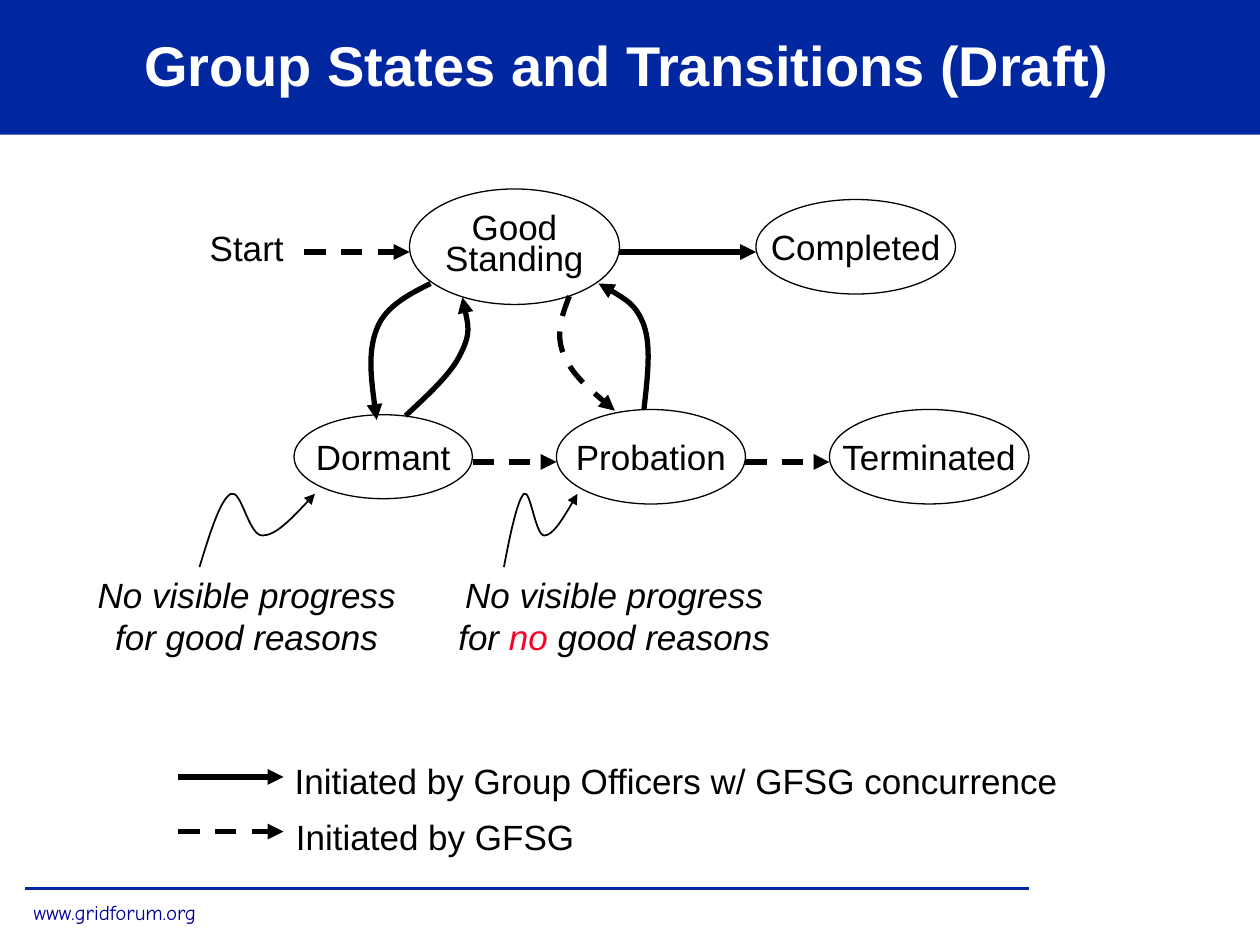
from lxml import etree
from pptx import Presentation
from pptx.dml.color import RGBColor
from pptx.enum.dml import MSO_LINE
from pptx.enum.shapes import MSO_CONNECTOR, MSO_SHAPE
from pptx.enum.text import MSO_ANCHOR, PP_ALIGN
from pptx.oxml.ns import qn
from pptx.util import Pt

STRAIGHT = MSO_CONNECTOR.STRAIGHT
OVAL, RECTANGLE = MSO_SHAPE.OVAL, MSO_SHAPE.RECTANGLE
LEFT, CENTER = PP_ALIGN.LEFT, PP_ALIGN.CENTER
TOP, MIDDLE = MSO_ANCHOR.TOP, MSO_ANCHOR.MIDDLE
DASH = MSO_LINE.DASH
BLUE, BLACK, WHITE, RED, NAVY = "00279F", "000000", "FFFFFF", "FC0128", "000099"


def write(shape, paragraphs, size=20, color=BLACK, font="Arial", align=CENTER,
          anchor=MIDDLE, wrap=False, bold=False, italic=False, spacing=1.0):
    """Fill a shape with paragraphs, each a list of (text, colour or None) runs."""
    frame = shape.text_frame
    frame.word_wrap = wrap
    frame.vertical_anchor = anchor
    for index, runs in enumerate(paragraphs):
        paragraph = frame.add_paragraph() if index else frame.paragraphs[0]
        paragraph.alignment = align
        paragraph.line_spacing = spacing
        for text, run_color in runs:
            run = paragraph.add_run()
            run.text = text
            run.font.name = font
            run.font.size = Pt(size)
            run.font.bold = bold
            run.font.italic = italic
            run.font.color.rgb = RGBColor.from_string(run_color or color)


def stroke(shape, width, color=BLACK, dashed=False, arrow=None):
    """Style a line without shadow; arrow is headEnd (start), tailEnd (finish) or None."""
    shape.line.color.rgb = RGBColor.from_string(color)
    shape.line.width = Pt(width)
    if dashed:
        shape.line.dash_style = DASH
    properties = shape.element.spPr
    if arrow:
        etree.SubElement(properties.find(qn("a:ln")), qn(f"a:{arrow}"), type="triangle")
    etree.SubElement(properties, qn("a:effectLst"))


prs = Presentation()
prs.slide_width, prs.slide_height = Pt(720), Pt(540)
shapes = prs.slides.add_slide(prs.slide_layouts[6]).shapes

# Banner, title and footer
banner = shapes.add_shape(RECTANGLE, 0, 0, Pt(720), Pt(77))
banner.shadow.inherit = False
banner.fill.solid()
banner.fill.fore_color.rgb = RGBColor.from_string(BLUE)
banner.line.fill.background()
title = shapes.add_textbox(0, 0, Pt(716.4), Pt(73.4))
write(title, [[("Group States and Transitions (Draft)", None)]], size=32, color=WHITE,
      wrap=True, bold=True)

footer_rule = shapes.add_connector(STRAIGHT, Pt(14.4), Pt(507.6), Pt(588), Pt(507.6))
stroke(footer_rule, 2, BLUE)
site = shapes.add_textbox(Pt(12.2), Pt(510.5), Pt(107.3), Pt(21.6))
write(site, [[("www.gridforum.org", None)]], size=12, color=NAVY, font="Comic Neue",
      align=LEFT, anchor=TOP)

# States
start = shapes.add_textbox(Pt(108), Pt(117.4), Pt(66), Pt(48))
write(start, [[("Start", None)]])
states = [
    (["Good", "Standing"], 234, 108, 120, 66, 0.75),
    (["Dormant"], 168, 237, 102, 48, 1.0),
    (["Probation"], 318, 234, 108, 54, 1.0),
    (["Completed"], 432, 114, 114, 54, 1.0),
    (["Terminated"], 474, 234, 114, 54, 1.0),
]
for lines, left, top, width, height, spacing in states:
    state = shapes.add_shape(OVAL, Pt(left), Pt(top), Pt(width), Pt(height))
    state.fill.background()
    stroke(state, 0.75)
    write(state, [[(line, None)] for line in lines], spacing=spacing)

# Straight transitions and legend samples: start x, end x, y, dashed
straight_arrows = [
    (174, 234, 144, True),
    (354, 432, 144, False),
    (270, 318, 264, True),
    (426, 474, 264, True),
    (102, 162, 475.2, True),
    (102, 162, 444, False),
]
for x1, x2, y, dashed in straight_arrows:
    transition = shapes.add_connector(STRAIGHT, Pt(x1), Pt(y), Pt(x2), Pt(y))
    stroke(transition, 3, dashed=dashed, arrow="tailEnd")

# Curved transitions and note pointers: start point, then three points per Bezier segment
curved_arrows = [
    ([(342, 162), (352.8, 168), (363.6, 174), (368, 186), (372.2, 198), (370, 216),
      (368, 234)], 3, False, "headEnd"),
    ([(246, 162), (233.3, 168.5), (220.3, 175), (215.3, 188), (210.2, 201), (212.4, 220.5),
      (215.3, 240)], 3, False, "tailEnd"),
    ([(325.4, 169.2), (321.1, 180), (317.5, 190.8), (321.8, 201.6), (326.2, 213.1),
      (338.4, 223.9), (351.4, 234.7)], 3, True, "tailEnd"),
    ([(264.2, 169.9), (266.4, 180), (269.3, 190.1), (263.5, 201.6), (258.5, 213.1),
      (244.8, 225.4), (231.8, 237.6)], 3, False, "headEnd"),
    ([(114, 324), (120, 304.6), (126, 285.1), (132, 282.2), (138, 279.4), (142, 306),
      (150, 306), (157.7, 306), (169, 293.8), (180, 282.2)], 1, False, "tailEnd"),
    ([(288, 324), (291.6, 304.6), (295.9, 285.1), (299.5, 282.2), (303.1, 279.4), (306, 306),
      (311, 306), (316, 306), (323.3, 293.8), (330, 282.2)], 1, False, "tailEnd"),
]
for points, width, dashed, arrow in curved_arrows:
    first, *rest = [(Pt(x), Pt(y)) for x, y in points]
    builder = shapes.build_freeform(*first)
    builder.add_line_segments(rest, close=False)
    curve = builder.convert_to_shape()
    segments = list(curve.element.iter(qn("a:lnTo")))
    outline = segments[0].getparent()
    for index in range(0, len(segments), 3):
        bezier = etree.SubElement(outline, qn("a:cubicBezTo"))
        for segment in segments[index:index + 3]:
            bezier.append(segment[0])
            outline.remove(segment)
    curve.fill.background()
    stroke(curve, width, dashed=dashed, arrow=arrow)

# Legend
legend = [
    ("Initiated by GFSG", 162, 462.2, 173.5),
    ("Initiated by Group Officers w/ GFSG concurrence", 161.3, 430.6, 450.7),
]
for text, left, top, width in legend:
    meaning = shapes.add_textbox(Pt(left), Pt(top), Pt(width), Pt(31.7))
    write(meaning, [[(text, None)]], align=LEFT, anchor=TOP)

# Notes
notes = [
    (42, [("No visible progress for good reasons", None)]),
    (252, [("No visible progress for ", None), ("no", RED), (" good reasons", None)]),
]
for left, runs in notes:
    note = shapes.add_textbox(Pt(left), Pt(324), Pt(198), Pt(55.4))
    write(note, [runs], anchor=TOP, wrap=True, italic=True)

prs.save("out.pptx")
